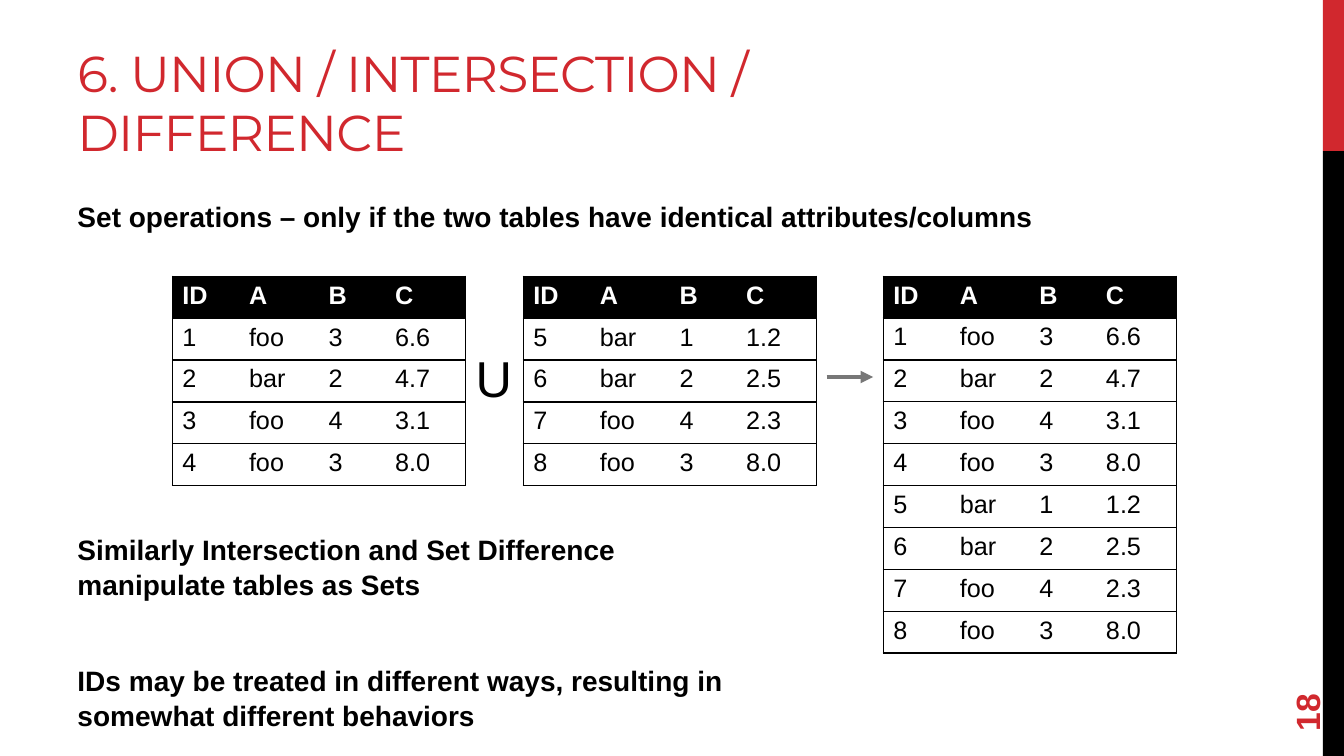
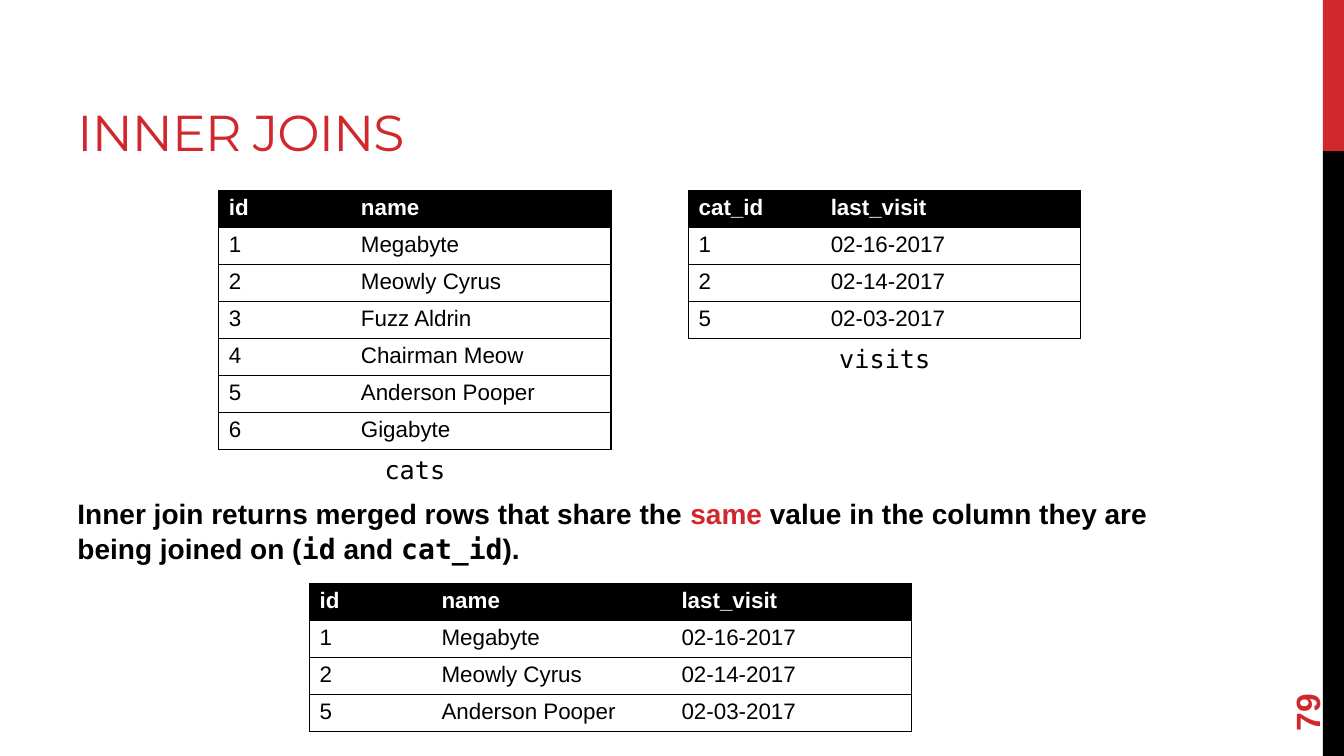
from lxml.etree import SubElement
from pptx import Presentation
from pptx.dml.color import RGBColor
from pptx.enum.shapes import MSO_CONNECTOR, MSO_SHAPE
from pptx.enum.text import MSO_ANCHOR, PP_ALIGN
from pptx.oxml.ns import qn
from pptx.util import Inches, Pt

COLORS = {"red": "D1282E", "black": "000000", "white": "FFFFFF", "gray": "777777"}
SANS, MONO, HEAD = "Arial", "DejaVu Sans Mono", "Montserrat"
LEFT = 0.67


def color(name):
    return RGBColor.from_string(COLORS[name])


def style(run, size, tone="black", face=SANS, bold=False):
    font = run.font
    font.size, font.name, font.bold = Pt(size), face, bold
    font.color.rgb = color(tone)


# Text
def add_text(slide, box, lines, size, tone="black", face=SANS, bold=False,
             anchor=MSO_ANCHOR.TOP, align=PP_ALIGN.LEFT, wrap=True):
    shape = slide.shapes.add_textbox(*map(Inches, box))
    frame = shape.text_frame
    frame.text = "\n".join(lines)
    frame.word_wrap, frame.vertical_anchor = wrap, anchor
    for para in frame.paragraphs:
        para.alignment = align
        for run in para.runs:
            style(run, size, tone, face, bold)
    return shape


def add_body(slide, box, lines, gap=0):
    shape = add_text(slide, box, lines, 20, bold=True)
    for num, para in enumerate(shape.text_frame.paragraphs):
        para.line_spacing = 1.04
        if num:
            para.space_before = Pt(gap)
    return shape


def add_runs(para, parts):
    for text, tone, face in parts:
        run = para.add_run()
        run.text = text
        style(run, 20, tone, face, True)


# Tables: black header, row lines and an outer frame
def add_edge(cell, side, shown):
    props = cell._tc.get_or_add_tcPr()
    edge = SubElement(props, qn("a:ln" + side), w=str(Pt(1)))
    if shown:
        fill = SubElement(edge, qn("a:solidFill"))
        SubElement(fill, qn("a:srgbClr"), val=COLORS["black"])
    else:
        SubElement(edge, qn("a:noFill"))


def add_grid(slide, left, top, height, widths, rows, size):
    count = len(widths)
    frame = slide.shapes.add_table(len(rows), count, Inches(left), Inches(top),
                                   Inches(sum(widths)), Inches(height))
    table = frame.table
    table.horz_banding = False
    for col, width in zip(table.columns, widths):
        col.width = Inches(width)
    for r, row in enumerate(rows):
        for c, value in enumerate(row):
            cell = table.cell(r, c)
            cell.text = value
            for side, shown in (("L", c == 0), ("R", c == count - 1),
                                ("T", True), ("B", True)):
                add_edge(cell, side, shown)
            cell.fill.solid()
            cell.fill.fore_color.rgb = color("white" if r else "black")
            style(cell.text_frame.paragraphs[0].runs[0], size,
                  "black" if r else "white", bold=r == 0)


# Shapes
def add_band(slide, top, height, tone):
    band = slide.shapes.add_shape(MSO_SHAPE.RECTANGLE, Inches(13.12), Inches(top),
                                  Inches(0.21), Inches(height))
    band.shadow.inherit = False
    band.fill.solid()
    band.fill.fore_color.rgb = color(tone)
    band.line.fill.background()


def add_arrow(slide, start, end, y):
    arrow = slide.shapes.add_connector(MSO_CONNECTOR.STRAIGHT, Inches(start),
                                       Inches(y), Inches(end), Inches(y))
    arrow.line.color.rgb = color("gray")
    arrow.line.width = Pt(3)
    SubElement(arrow.line._get_or_add_ln(), qn("a:tailEnd"), type="triangle")
    SubElement(arrow._element.spPr, qn("a:effectLst"))


# Shared frame: bands, title and page number
def add_slide(deck, title, page):
    slide = deck.slides.add_slide(deck.slide_layouts[6])
    add_band(slide, 0, 1.5, "red")
    add_band(slide, 1.5, 6, "black")
    head = add_text(slide, (LEFT, 0.17, 8.44, 1.5), [title], 36, "red", HEAD,
                    anchor=MSO_ANCHOR.BOTTOM)
    para = head.text_frame.paragraphs[0]
    para.line_spacing = 0.98
    para.runs[0]._r.get_or_add_rPr().set("spc", "-60")
    label = add_text(slide, (12.24, 6.37, 1.44, 0.53), [page], 24, "red",
                     bold=True, anchor=MSO_ANCHOR.MIDDLE)
    label.rotation = 270
    return slide


def add_union(deck):
    slide = add_slide(deck, "6. UNION / INTERSECTION / DIFFERENCE", "18")
    add_body(slide, (LEFT, 1.92, 11.11, 0.5), [
        "Set operations – only if the two tables have identical attributes/columns"])

    # Two sets and their union
    head = [("ID", "A", "B", "C")]
    first = [("1", "foo", "3", "6.6"), ("2", "bar", "2", "4.7"),
             ("3", "foo", "4", "3.1"), ("4", "foo", "3", "8.0")]
    second = [("5", "bar", "1", "1.2"), ("6", "bar", "2", "2.5"),
              ("7", "foo", "4", "2.3"), ("8", "foo", "3", "8.0")]
    widths = (0.66, 0.79, 0.66, 0.8)
    for left, height, rows in ((1.71, 2.08, first), (5.19, 2.08, second),
                               (8.76, 3.74, first + second)):
        add_grid(slide, left, 2.74, height, widths, head + rows, 18)
    add_text(slide, (4.62, 3.39, 0.57, 0.71), ["U"], 36, wrap=False)
    add_arrow(slide, 8.2, 8.66, 3.74)

    add_body(slide, (LEFT, 5.22, 6.79, 2.11), [
        "Similarly Intersection and Set Difference manipulate tables as Sets",
        "IDs may be treated in different ways, resulting in somewhat different behaviors",
    ], gap=44)


def add_join(deck):
    slide = add_slide(deck, "INNER JOINS", "79")

    # Source tables with their names below
    cats = [("1", "Megabyte"), ("2", "Meowly Cyrus"), ("3", "Fuzz Aldrin"),
            ("4", "Chairman Meow"), ("5", "Anderson Pooper"), ("6", "Gigabyte")]
    visits = [("1", "02-16-2017"), ("2", "02-14-2017"), ("5", "02-03-2017")]
    top, widths = 1.89, (1.31, 2.58)
    for name, left, height, head, rows in (
            ("cats", 2.17, 2.57, ("id", "name"), cats),
            ("visits", 6.83, 1.47, ("cat_id", "last_visit"), visits)):
        add_grid(slide, left, top, height, widths, [head] + rows, 16)
        add_text(slide, (left, top + height, sum(widths), 0.4), [name], 18,
                 face=MONO, align=PP_ALIGN.CENTER)

    # Rule
    body = add_body(slide, (LEFT, 4.86, 11.11, 0.8), [""])
    add_runs(body.text_frame.paragraphs[0], [
        ("Inner join returns merged rows that share the ", "black", SANS),
        ("same", "red", SANS),
        (" value in the column they are being joined on (", "black", SANS),
        ("id", "black", MONO),
        (" and ", "black", SANS),
        ("cat_id", "black", MONO),
        (").", "black", SANS)])

    # Joined rows
    names = dict(cats)
    joined = [(key, names[key], date) for key, date in visits if key in names]
    add_grid(slide, 3.07, 5.79, 1.47, (1.21, 2.38, 2.38),
             [("id", "name", "last_visit")] + joined, 16)


def main():
    deck = Presentation()
    deck.slide_width, deck.slide_height = Inches(13.33), Inches(7.5)
    add_union(deck)
    add_join(deck)
    deck.save("out.pptx")


if __name__ == "__main__":
    main()
